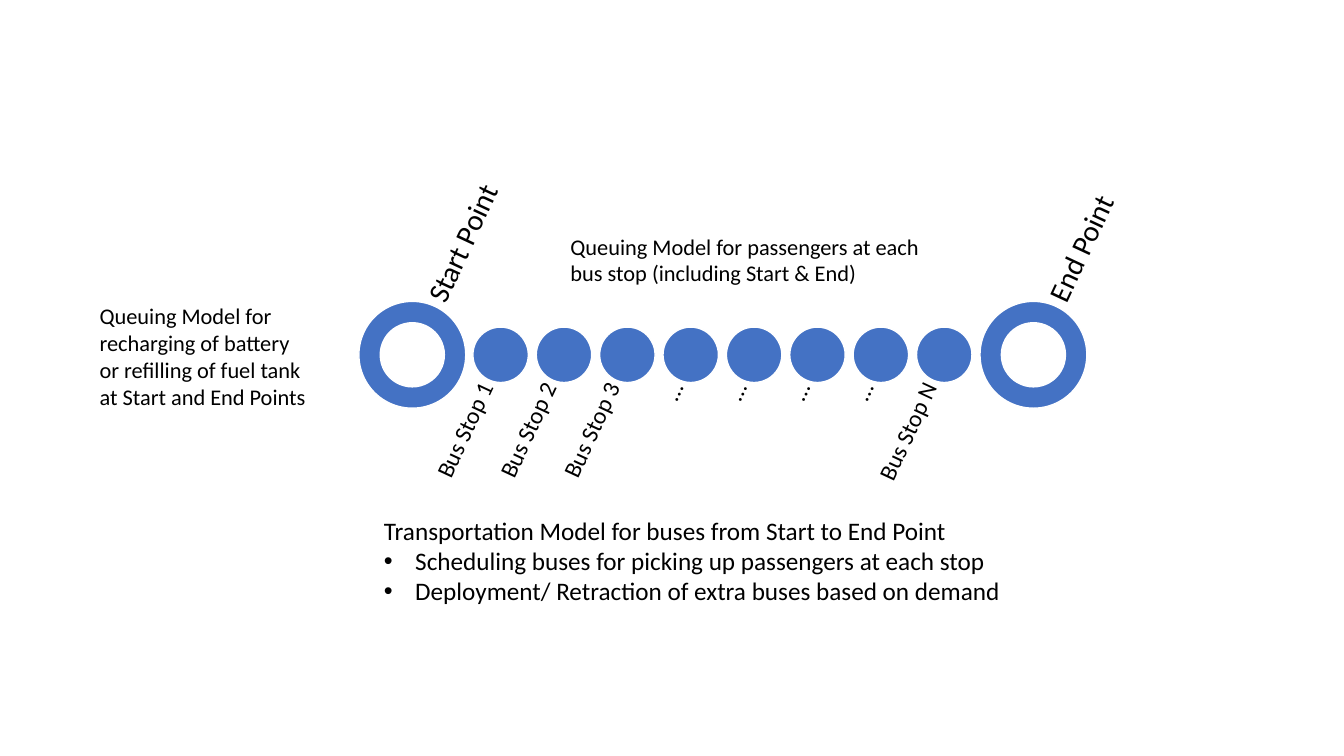
from lxml.etree import SubElement
from pptx import Presentation
from pptx.dml.color import RGBColor
from pptx.enum.shapes import MSO_SHAPE
from pptx.enum.text import MSO_ANCHOR, PP_ALIGN
from pptx.oxml.ns import qn
from pptx.util import Inches, Pt

# Content
BLUE, WHITE, BLACK = "4472C4", "FFFFFF", "000000"
FONT = "Calibri"
STOPS = ["Bus Stop 1", "Bus Stop 2", "Bus Stop 3", "…", "…", "…", "…", "Bus Stop N"]
TERMINALS = [("Start Point", 3.56), ("End Point", 9.72)]
# Notes: left, top, width, height, text size, lines
NOTES = [
    (5.56, 2.26, 3.75, 0.64, 16,
     ["Queuing Model for passengers at each", "bus stop (including Start & End)"]),
    (0.89, 2.95, 2.27, 1.18, 16,
     ["Queuing Model for", "recharging of battery",
      "or refilling of fuel tank", "at Start and End Points"]),
    (3.71, 5.06, 6.72, 1.01, 18,
     ["Transportation Model for buses from Start to End Point",
      "• Scheduling buses for picking up passengers at each stop",
      "• Deployment/ Retraction of extra buses based on demand"]),
]

# Route geometry, in inches
ROUTE_Y = 3.52
TERMINAL_SIZE, STOP_SIZE = 1.06, 0.55
FIRST_STOP, LAST_STOP = 4.69, 9.09
STOP_PITCH = (LAST_STOP - FIRST_STOP) / (len(STOPS) - 1)
LABEL_ANGLE = 295

deck = Presentation()
deck.slide_width, deck.slide_height = Inches(13.33), Inches(7.5)
page = deck.slides.add_slide(deck.slide_layouts[6])


def color(value):
    return RGBColor.from_string(value)


def add_circle(kind, left, size):
    circle = page.shapes.add_shape(kind, Inches(left), Inches(ROUTE_Y - size / 2),
                                   Inches(size), Inches(size))
    circle.shadow.inherit = False
    circle.fill.solid()
    circle.fill.fore_color.rgb = color(BLUE)
    circle.line.color.rgb = color(WHITE)
    circle.line.width = Pt(1)
    return circle


def add_text(left, top, width, height, size, lines, margins=None):
    box = page.shapes.add_textbox(Inches(left), Inches(top), Inches(width), Inches(height))
    frame = box.text_frame
    frame.word_wrap = True
    if margins:
        frame.margin_left, frame.margin_right = (Inches(margin) for margin in margins)
        frame.margin_top = frame.margin_bottom = 0
        frame.vertical_anchor = MSO_ANCHOR.MIDDLE
    for index, line in enumerate(lines):
        para = frame.paragraphs[0] if index == 0 else frame.add_paragraph()
        para.text = line.removeprefix("• ")
        para.font.name, para.font.size = FONT, Pt(size)
        para.font.color.rgb = color(BLACK)
        if line.startswith("• "):
            add_bullet(para)
    return box


def add_bullet(para):
    properties = para._p.get_or_add_pPr()
    indent = Inches(0.31)
    properties.set("marL", str(indent))
    properties.set("indent", str(-indent))
    bullet_font = SubElement(properties, qn("a:buFont"))
    bullet_font.set("typeface", "Arial")
    bullet = SubElement(properties, qn("a:buChar"))
    bullet.set("char", "•")
    # Default run properties must follow the bullet in the schema
    for default in properties.findall(qn("a:defRPr")):
        properties.append(default)


def add_label(left, top, width, height, size, text, margins, align):
    label = add_text(left, top, width, height, size, [text], margins)
    label.rotation = LABEL_ANGLE
    para = label.text_frame.paragraphs[0]
    para.alignment, para.line_spacing = align, 0.9


# Terminals with labels rising above the route
for name, left in TERMINALS:
    add_circle(MSO_SHAPE.DONUT, left, TERMINAL_SIZE).adjustments[0] = 0.2
    add_label(left + 0.37, 2.13, 1.31, 0.63, 21, name, (0.06, 0), PP_ALIGN.LEFT)

# Evenly spaced stops with labels hanging below the route
for index, name in enumerate(STOPS):
    left = FIRST_STOP + index * STOP_PITCH
    add_circle(MSO_SHAPE.OVAL, left, STOP_SIZE)
    add_label(left - 0.65, 4.01, 1.14, 0.55, 17, name, (0, 0.05), PP_ALIGN.RIGHT)

# Model notes
for note in NOTES:
    add_text(*note)

deck.save("out.pptx")
